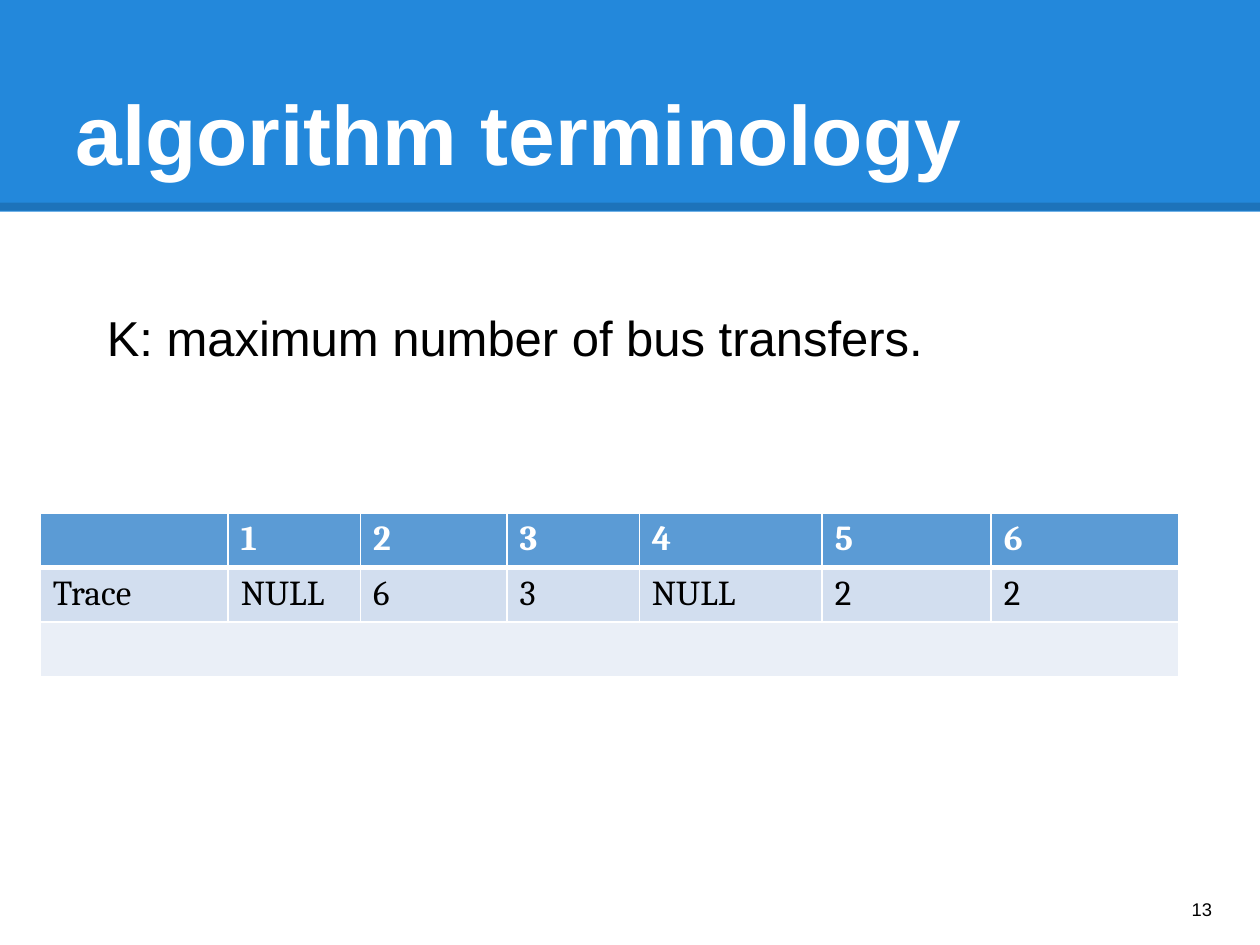
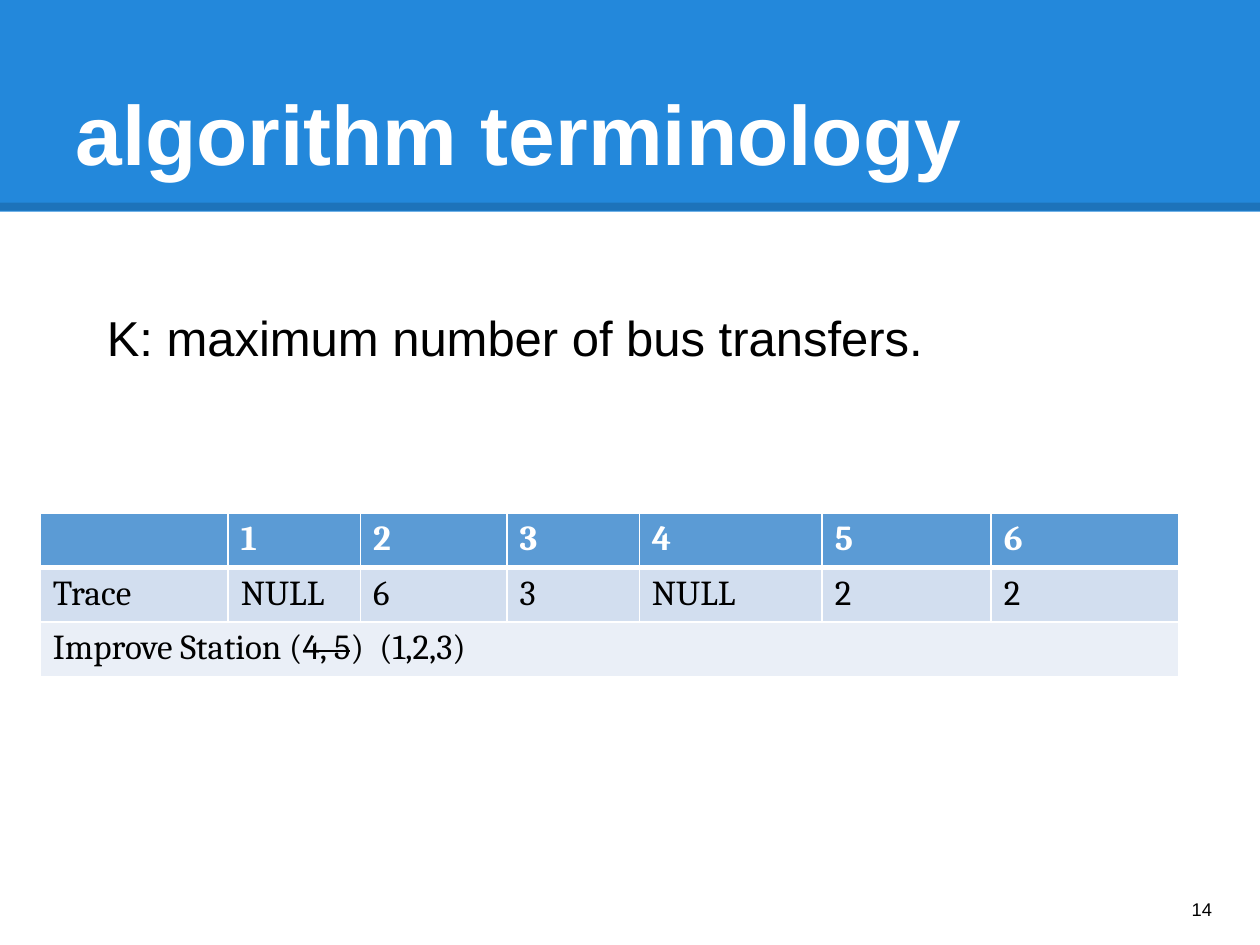
from lxml import etree
from pptx import Presentation, util as u
from pptx.dml.color import RGBColor
from pptx.enum import shapes as sh, text as tx
from pptx.oxml.ns import qn

BLUE, HEAD, PALE, LIGHT = "2388DB", "5B9BD5", "D2DEEF", "EAEFF7"
BLACK, WHITE = "000000", "FFFFFF"
SANS, SERIF = "Arial", "Cambria"
MID = tx.MSO_ANCHOR.MIDDLE
LOW = tx.MSO_ANCHOR.BOTTOM

TITLE = "algorithm terminology"
NOTE = "K: maximum number of bus transfers."
COLS = [1.49, 1.05, 1.16, 1.05, 1.45, 1.34, 1.49]
ROWS = [
    ["", "1", "2", "3", "4", "5", "6"],
    ["Trace", "NULL", "6", "3", "NULL", "2", "2"],
]
STEPS = [
    (13, []),
    (14, [("Improve Station (", {}), ("4, 5", {"strike": "sngStrike"}),
          (")", {}), (" ", {"spc": "440"}), ("(1,2,3)", {})]),
]


def tint(code):
    return RGBColor.from_string(code)


def part(box, left, top, wide, high):
    x, y, w, h = box
    return (int(x + w * left / 100), int(y + h * top / 100),
            int(w * wide / 100), int(h * high / 100))


def style(font, size, face, code, bold=False):
    font.size = u.Pt(size)
    font.name = face
    font.bold = bold
    font.color.rgb = tint(code)


def write(slide, box, words, size, code, bold=False, anchor=None, inset=0.1):
    frame = slide.shapes.add_textbox(*box).text_frame
    frame.word_wrap = True
    frame.margin_top = frame.margin_bottom = u.Inches(inset)
    if anchor is not None:
        frame.vertical_anchor = anchor
    frame.text = words
    style(frame.paragraphs[0].runs[0].font, size, SANS, code, bold)
    return frame


def draw_band(slide, box):
    band = slide.shapes.add_shape(sh.MSO_SHAPE.RECTANGLE, *box)
    band.shadow.inherit = False
    band.fill.solid()
    band.fill.fore_color.rgb = tint(BLUE)
    band.line.fill.background()

    x, y, w, _ = part(box, 0, 97.62, 100, 0)
    rule = slide.shapes.add_connector(sh.MSO_CONNECTOR.STRAIGHT, x, y, x + w, y)
    rule.line.width = u.Pt(4.5)
    rule.line.color.rgb = tint(BLACK)
    shade = next(rule.line._ln.iter(qn("a:srgbClr")))
    etree.SubElement(shade, qn("a:alpha"), val="15000")
    etree.SubElement(rule._element.spPr, qn("a:effectLst"))

    write(slide, part(box, 5, 17.86, 90, 74.4), TITLE, 48, WHITE, True, LOW)


def edge(cell, side, width):
    line = etree.SubElement(cell._tc.get_or_add_tcPr(), qn("a:ln" + side),
                            w=str(u.Pt(width)))
    fill = etree.SubElement(line, qn("a:solidFill"))
    etree.SubElement(fill, qn("a:srgbClr"), val=WHITE)


def paint(cell, code, top, low):
    for side, width in zip("LRTB", (1, 1, top, low)):
        edge(cell, side, width)
    cell.fill.solid()
    cell.fill.fore_color.rgb = tint(code)


def draw_trace(slide, box, marks):
    _, _, wide, high = box
    looks = [(HEAD, 1, 3), (PALE, 3, 1), (LIGHT, 1, 1)]
    table = slide.shapes.add_table(len(looks), len(COLS), *box).table
    for col, share in zip(table.columns, COLS):
        col.width = int(wide * share / sum(COLS))
    for row, look in zip(table.rows, looks):
        row.height = high // len(looks)
        for cell in row.cells:
            paint(cell, *look)

    for r, names in enumerate(ROWS):
        for c, name in enumerate(names):
            para = table.cell(r, c).text_frame.paragraphs[0]
            para.text = name
            for run in para.runs:
                style(run.font, 20, SERIF, BLACK if r else WHITE, not r)

    last = len(looks) - 1
    foot = table.cell(last, 0)
    foot.merge(table.cell(last, len(COLS) - 1))
    for words, marked in marks:
        run = foot.text_frame.paragraphs[0].add_run()
        run.text = words
        style(run.font, 20, SERIF, BLACK)
        for key, value in marked.items():
            run.font._element.set(key, value)


def draw_slide(slide, page, number, marks):
    draw_band(slide, part(page, 0, 0, 100, 22.4))
    write(slide, part(page, 93.6, 92.4, 6, 7.6), str(number), 10.5, BLACK,
          anchor=MID)
    note = write(slide, part(page, 7.5, 31.87, 67.6, 7.6), NOTE, 28, BLACK,
                 inset=0.05)
    note.word_wrap = False
    note.auto_size = tx.MSO_AUTO_SIZE.SHAPE_TO_FIT_TEXT
    draw_trace(slide, part(page, 3.2, 54.27, 90.4, 17.2), marks)


def main():
    deck = Presentation()
    deck.slide_width, deck.slide_height = u.Inches(10), u.Inches(7.5)
    page = (0, 0, deck.slide_width, deck.slide_height)
    for number, marks in STEPS:
        draw_slide(deck.slides.add_slide(deck.slide_layouts[6]), page,
                   number, marks)
    deck.save("out.pptx")


if __name__ == "__main__":
    main()
